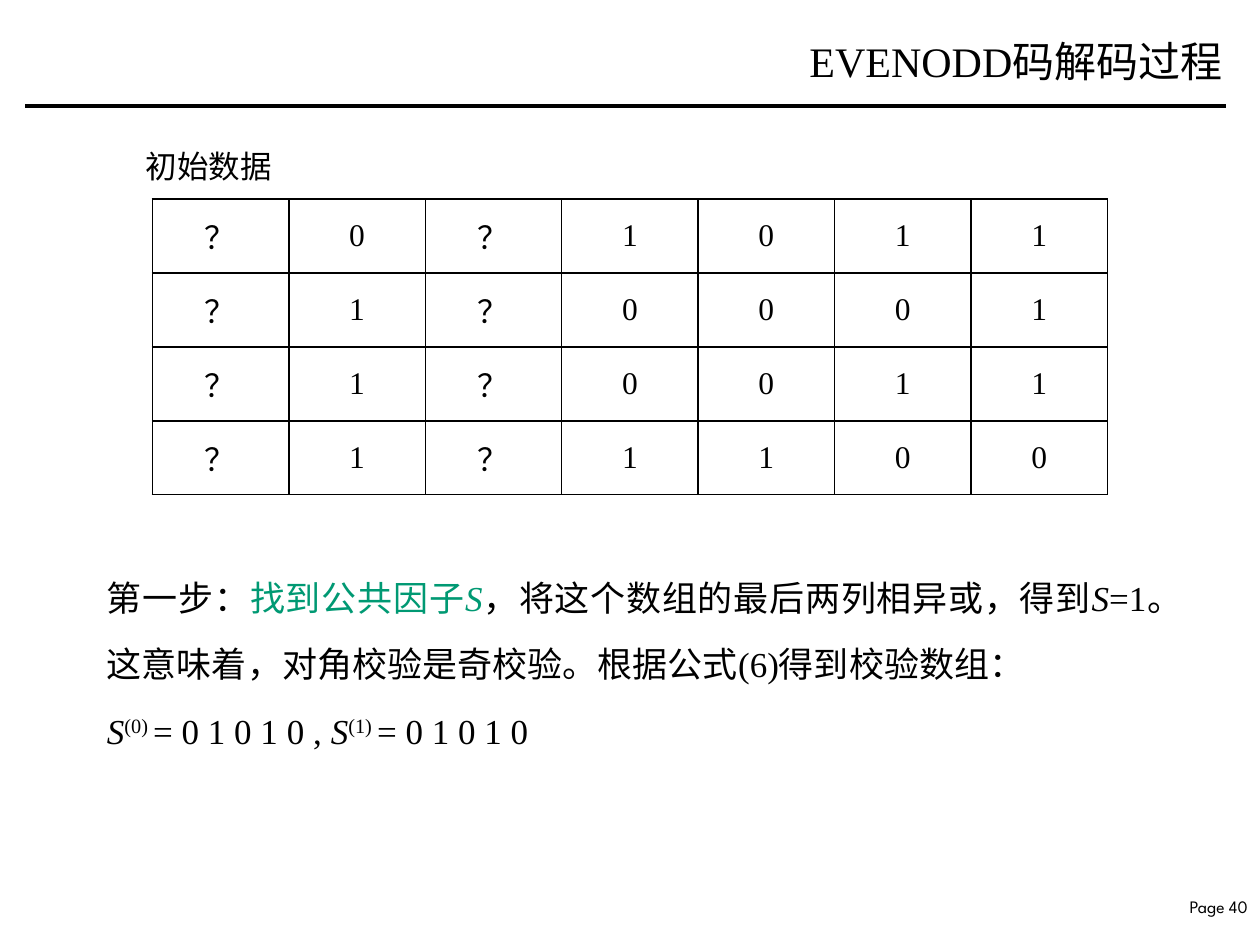
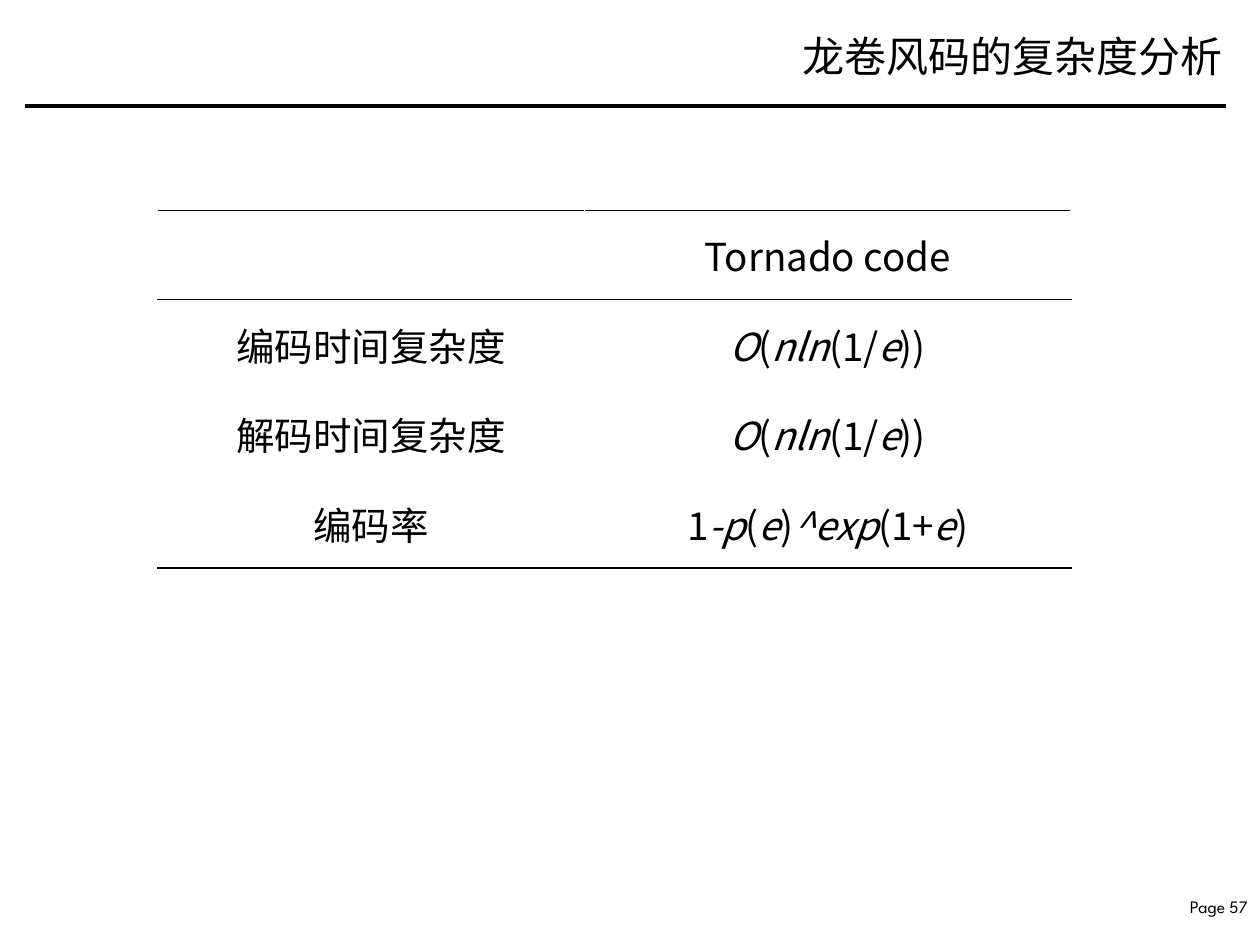
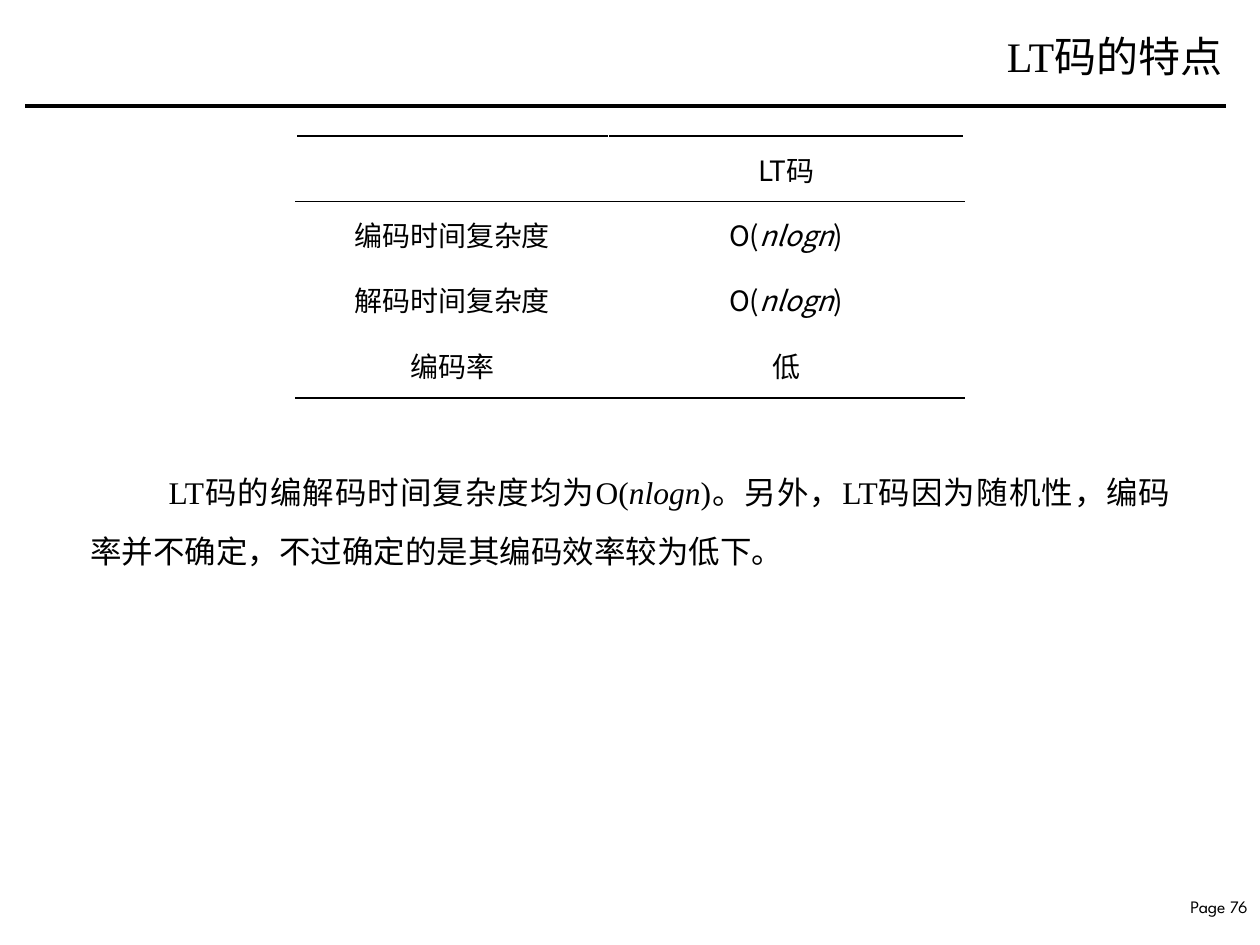
"""Build three slides on erasure codes."""
from dataclasses import dataclass, field
from typing import Any, NamedTuple

from lxml.etree import SubElement as Sub
from pptx import Presentation
from pptx.dml.color import RGBColor as Rgb
from pptx.enum.shapes import MSO_CONNECTOR as Conn
from pptx.enum.text import MSO_ANCHOR as Anchor, PP_ALIGN as Align
from pptx.oxml.ns import qn
from pptx.util import Inches, Pt

BLACK, WHITE, GREEN = "000000", "FFFFFF", "009973"
SERIF, SANS, ROUND = "Times New Roman", "Noto Sans CJK SC", "League Spartan"


class Run(NamedTuple):
    """A stretch of text with one look."""
    text: str
    tint: str = BLACK
    slant: bool = False
    lift: int = 0


class Box(NamedTuple):
    """A place on the slide, in inches."""
    left: float
    top: float
    width: float
    height: float


class Line(NamedTuple):
    """A cell border."""
    tint: str
    width: float


@dataclass
class Note:
    """A text box and its format."""
    box: Box
    paras: list[list[Run]]
    size: float
    font: str = SERIF
    para: dict[str, Any] = field(default_factory=dict)
    frame: dict[str, Any] = field(default_factory=dict)
    indent: float = 0


@dataclass
class Grid:
    """A table and its format."""
    left: float
    top: float
    cols: list[float]
    high: float
    rows: list[list[str]]
    size: float
    font: str = SANS
    boxed: bool = False
    pad: tuple[float, float] = (0.1, 0.05)


@dataclass
class Page:
    """The content of one slide."""
    title: str
    number: int
    grid: Grid
    notes: list[Note]
    top: float = 0.07


def shade(tint: str) -> Rgb:
    """Turn a hex string into a colour."""
    return Rgb.from_string(tint)


def apply(item: Any, look: dict[str, Any]) -> None:
    """Set attributes from format values."""
    for key, value in look.items():
        setattr(item, key, value)


def mark(text: str, tint: str = BLACK) -> list[Run]:
    """Split text into runs, with italics between asterisks."""
    return [Run(part, tint, bool(i % 2))
            for i, part in enumerate(text.split("*")) if part]


def write(para: Any, runs: list[Run], size: float, face: str) -> None:
    """Add runs to a paragraph."""
    for item in runs:
        run = para.add_run()
        run.text = item.text
        apply(run.font, {"size": Pt(size), "name": face, "italic": item.slant})
        run.font.color.rgb = shade(item.tint)
        props = run._r.get_or_add_rPr()
        Sub(props, qn("a:ea"), typeface=SANS)
        if item.lift:
            props.set("baseline", str(item.lift * 1000))


def place(slide: Any, note: Note) -> None:
    """Draw a text box."""
    frame = slide.shapes.add_textbox(*map(Inches, note.box)).text_frame
    apply(frame, {"word_wrap": True} | note.frame)
    for i, runs in enumerate(note.paras):
        para = frame.add_paragraph() if i else frame.paragraphs[0]
        apply(para, note.para)
        if note.indent:
            para._p.get_or_add_pPr().set("indent", str(Inches(note.indent)))
        write(para, runs, note.size, note.font)


def edges(grid: Grid, row: int) -> dict[str, Line]:
    """Give the four borders of a cell in a row."""
    if grid.boxed:
        return dict.fromkeys("LRTB", Line(BLACK, 1))
    lines = dict.fromkeys("LRTB", Line(WHITE, 1))
    if row == 0:
        lines |= {"T": Line(BLACK, 1), "B": Line(BLACK, 0.5)}
    elif row == 1:
        lines["T"] = Line(BLACK, 0.5)
    if row == len(grid.rows) - 1:
        lines["B"] = Line(BLACK, 1.5)
    return lines


def border(cell: Any, lines: dict[str, Line]) -> None:
    """Draw the borders of a cell."""
    props = cell._tc.get_or_add_tcPr()
    for side, line in lines.items():
        edge = Sub(props, qn(f"a:ln{side}"), w=str(Pt(line.width)))
        Sub(Sub(edge, qn("a:solidFill")), qn("a:srgbClr"), val=line.tint)


def tabulate(slide: Any, grid: Grid) -> None:
    """Draw a table."""
    count = len(grid.rows)
    box = Box(grid.left, grid.top, sum(grid.cols), grid.high * count)
    table = slide.shapes.add_table(
        count, len(grid.cols), *map(Inches, box)).table
    apply(table, {"first_row": False, "horz_banding": False})
    for col, width in zip(table.columns, grid.cols):
        col.width = Inches(width)
    wide, tall = map(Inches, grid.pad)
    look = {"vertical_anchor": Anchor.MIDDLE,
            "margin_left": wide, "margin_right": wide,
            "margin_top": tall, "margin_bottom": tall}
    for r, row in enumerate(grid.rows):
        for c, text in enumerate(row):
            cell = table.cell(r, c)
            apply(cell, look)
            border(cell, edges(grid, r))
            cell.fill.background()
            para = cell.text_frame.paragraphs[0]
            para.alignment = Align.CENTER
            write(para, mark(text), grid.size, grid.font)


def rule(slide: Any) -> None:
    """Draw the line under the title."""
    line = slide.shapes.add_connector(
        Conn.STRAIGHT, *map(Inches, (0.2, 0.84, 9.73, 0.84)))
    line.line.color.rgb = shade(BLACK)
    line.line.width = Pt(2)
    Sub(line._element.spPr, qn("a:effectLst"))


def draw(deck: Any, page: Page) -> None:
    """Add one slide."""
    slide = deck.slides.add_slide(deck.slide_layouts[6])
    right = {"alignment": Align.RIGHT}
    place(slide, Note(Box(9.2, 7.06, 0.8, 0.26),
                      [mark(f"Page {page.number}")], 10, ROUND, right))
    rule(slide)
    place(slide, Note(Box(4.86, page.top, 4.94, 0.75), [mark(page.title)],
                      24, SERIF, right, {"vertical_anchor": Anchor.MIDDLE}))
    tabulate(slide, page.grid)
    for note in page.notes:
        place(slide, note)


def body(pitch: float) -> dict[str, Any]:
    """Give the format of justified text with a fixed line pitch."""
    return {"alignment": Align.JUSTIFY, "line_spacing": Pt(pitch)}


BITS = ["？0？1011", "？1？0001", "？1？0011", "？1？1100"]
STEP = [
    mark("第一步：") + mark("找到公共因子*S*", GREEN)
    + mark("，将这个数组的最后两列相异或，得到*S*=1。这意味着，"
           "对角校验是奇校验。根据公式(6)得到校验数组："),
    mark("*S*") + [Run("(0) ", lift=30)] + mark("= 0 1 0 1 0 , *S*")
    + [Run("(1) ", lift=30)] + mark("= 0 1 0 1 0"),
]
TRAIT = ("LT码的编解码时间复杂度均为O(*nlogn*)。另外，LT码因为随机性，"
         "编码率并不确定，不过确定的是其编码效率较为低下。")


def costs(name: str, time: str, rate: str) -> list[list[str]]:
    """Give the rows of a complexity table."""
    return [["", name], ["编码时间复杂度", time],
            ["解码时间复杂度", time], ["编码率", rate]]


PAGES = [
    Page("EVENODD码解码过程", 40,
         Grid(1.21, 1.58, [1.083] * 7, 0.587, [list(row) for row in BITS],
              18, SERIF, boxed=True),
         [Note(Box(1.06, 0.92, 1.25, 0.54), [mark("初始数据")], 18,
               para=body(36)),
          Note(Box(0.75, 4.33, 8.73, 1.63), STEP, 20, para=body(38))],
         top=0.11),
    Page("龙卷风码的复杂度分析", 57,
         Grid(1.25, 1.67, [3.39, 3.86], 0.71,
              costs("Tornado code", "*O*(*nln*(1/*e*))",
                    "1*-p*(*e*)*^exp*(1+*e*)"),
              22, pad=(0.14, 0.07)), []),
    Page("LT码的特点", 76,
         Grid(2.35, 1.08, [2.48, 2.82], 0.52,
              costs("LT码", "O(*nlogn*)", "低"), 16),
         [Note(Box(0.62, 3.53, 8.77, 0.99), [mark(TRAIT)], 18,
               para=body(34), indent=0.62)]),
]


def main() -> None:
    """Build and save the deck."""
    deck = Presentation()
    apply(deck, {"slide_width": Inches(10), "slide_height": Inches(7.5)})
    for page in PAGES:
        draw(deck, page)
    deck.save("out.pptx")


if __name__ == "__main__":
    main()
